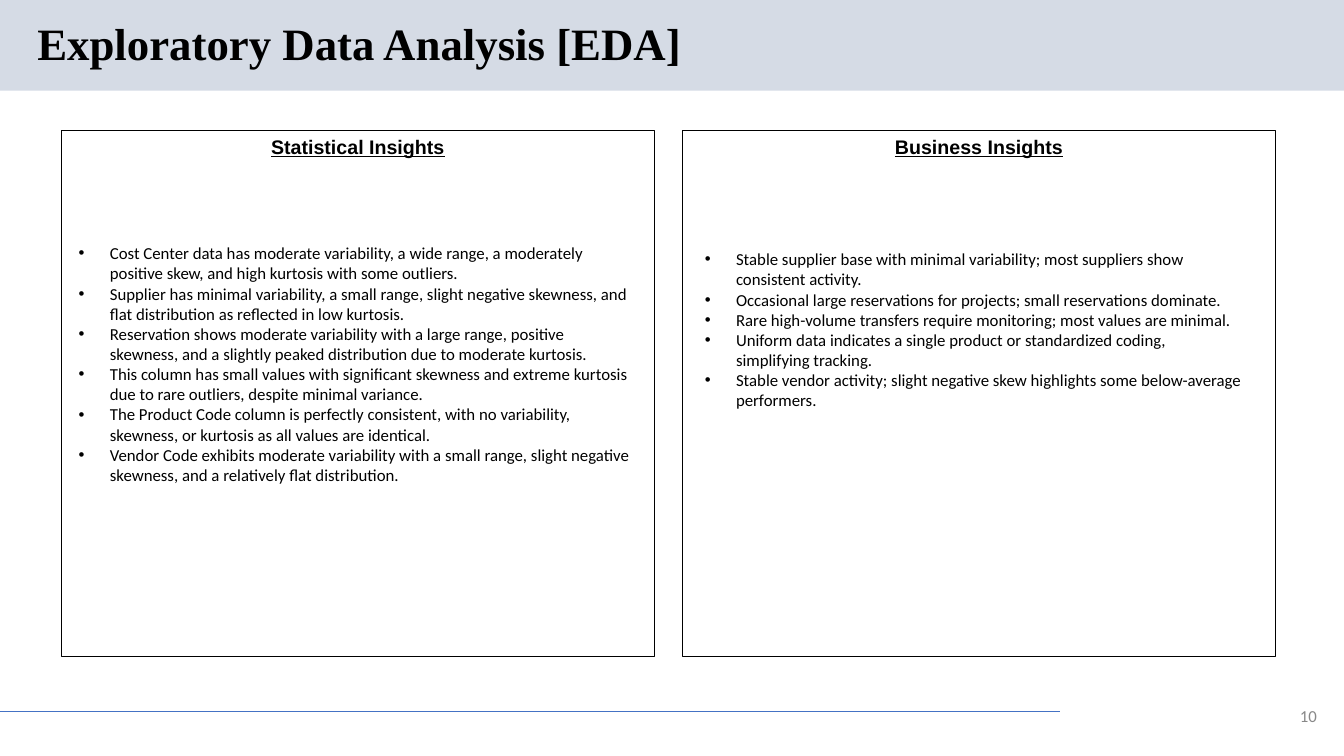
from lxml.etree import SubElement
from pptx import Presentation
from pptx.dml.color import RGBColor
from pptx.enum.shapes import MSO_CONNECTOR, MSO_SHAPE
from pptx.enum.text import MSO_ANCHOR, MSO_AUTO_SIZE, PP_ALIGN
from pptx.oxml.ns import qn
from pptx.util import Inches, Pt

PANEL_TOP, PANEL_WIDTH, PANEL_HEIGHT = 1.29, 5.88, 5.22
PANELS = [
    dict(
        heading="Statistical Insights", left=0.61,
        list_box=(0.68, 1.87, 5.73, 3.01), list_inset=0.52,
        insights=[
            "Cost Center data has moderate variability, a wide range, a moderately positive skew, and high kurtosis with some outliers.",
            "Supplier has minimal variability, a small range, slight negative skewness, and flat distribution as reflected in low kurtosis.",
            "Reservation shows moderate variability with a large range, positive skewness, and a slightly peaked distribution due to moderate kurtosis.",
            "This column has small values with significant skewness and extreme kurtosis due to rare outliers, despite minimal variance.",
            "The Product Code column is perfectly consistent, with no variability, skewness, or kurtosis as all values are identical.",
            "Vendor Code exhibits moderate variability with a small range, slight negative skewness, and a relatively flat distribution.",
        ],
    ),
    dict(
        heading="Business Insights", left=6.77,
        list_box=(6.89, 1.87, 5.54, 2.56), list_inset=0.29,
        insights=[
            "Stable supplier base with minimal variability; most suppliers show consistent activity.",
            "Occasional large reservations for projects; small reservations dominate.",
            "Rare high-volume transfers require monitoring; most values are minimal.",
            "Uniform data indicates a single product or standardized coding, simplifying tracking.",
            "Stable vendor activity; slight negative skew highlights some below-average performers.",
        ],
    ),
]


def color(hex_code):
    return RGBColor.from_string(hex_code)


def add_bullet(paragraph, indent=0.31):
    properties = paragraph._p.get_or_add_pPr()
    properties.set("marL", str(Inches(indent)))
    properties.set("indent", str(-Inches(indent)))
    bullet_color = SubElement(properties, qn("a:buClr"))
    SubElement(bullet_color, qn("a:srgbClr"), val=SlideBuilder.INK)
    SubElement(properties, qn("a:buFont"), typeface="Arial")
    SubElement(properties, qn("a:buChar"), char="•")


def write(frame, lines, font="Calibri", size=12, ink="000000", bold=False,
          underline=False, align=PP_ALIGN.LEFT, anchor=MSO_ANCHOR.MIDDLE,
          spacing=1.0, top_inset=0.05, bullets=False):
    frame.word_wrap = True
    frame.auto_size = MSO_AUTO_SIZE.NONE
    frame.vertical_anchor = anchor
    frame.margin_left = frame.margin_right = Inches(0.1)
    frame.margin_top, frame.margin_bottom = Inches(top_inset), Inches(0.05)
    for number, line in enumerate(lines):
        paragraph = frame.add_paragraph() if number else frame.paragraphs[0]
        paragraph.alignment = align
        paragraph.line_spacing = spacing
        paragraph.space_before = paragraph.space_after = Pt(0)
        if bullets:
            add_bullet(paragraph)
        run = paragraph.add_run()
        run.text = line
        run.font.name, run.font.size = font, Pt(size)
        run.font.bold, run.font.underline = bold, underline
        run.font.color.rgb = color(ink)


class SlideBuilder:
    INK, BAND, RULE, MUTED, PAPER = "000000", "D5DBE5", "4472C4", "888888", "FFFFFF"

    def __init__(self, presentation):
        comparison_layout = presentation.slide_layouts[4]
        self.slide = presentation.slides.add_slide(comparison_layout)
        self.shapes = self.slide.shapes

    def rectangle(self, box, fill=None, line=None):
        """Add a rectangle behind the placeholders."""
        rect = self.shapes.add_shape(MSO_SHAPE.RECTANGLE, *map(Inches, box))
        rect.shadow.inherit = False
        if fill:
            rect.fill.solid()
            rect.fill.fore_color.rgb = color(fill)
        else:
            rect.fill.background()
        if line:
            rect.line.color.rgb = color(line)
            rect.line.width = Pt(0.75)
        else:
            rect.line.fill.background()
        self.shapes._spTree.insert(2, rect._element)

    def rule(self, start, end):
        rule = self.shapes.add_connector(
            MSO_CONNECTOR.STRAIGHT, *map(Inches, start + end))
        rule.line.color.rgb = color(self.RULE)
        rule.line.width = Pt(0.75)
        SubElement(rule._element.spPr, qn("a:effectLst"))

    def placeholder(self, idx, box, lines, **style):
        holder = self.slide.placeholders[idx]
        holder.left, holder.top, holder.width, holder.height = map(Inches, box)
        write(holder.text_frame, lines, **style)
        return holder

    def bullet_list(self, idx, box, lines, top_inset):
        holder = self.placeholder(idx, box, lines, top_inset=top_inset, bullets=True)
        holder.fill.solid()
        holder.fill.fore_color.rgb = color(self.PAPER)
        holder.line.color.rgb = color(self.PAPER)
        holder.line.width = Pt(2)

    def label(self, box, text, **style):
        label = self.shapes.add_textbox(*map(Inches, box))
        write(label.text_frame, [text], **style)


def main():
    presentation = Presentation()
    presentation.slide_width, presentation.slide_height = Inches(13.33), Inches(7.5)
    builder = SlideBuilder(presentation)

    builder.rectangle((0, 0, 13.33, 0.9), fill=builder.BAND)
    builder.rule((0, 7.06), (10.51, 7.06))
    builder.placeholder(0, (0.27, 0.16, 10.11, 0.59), ["Exploratory Data Analysis [EDA]"],
                        font="Times New Roman", size=32, bold=True, spacing=0.9)
    builder.label((12.73, 6.94, 0.43, 0.32), "10",
                  ink=builder.MUTED, align=PP_ALIGN.RIGHT)

    for number, panel in enumerate(PANELS):
        heading_idx = 1 + 2 * number
        builder.rectangle((panel["left"], PANEL_TOP, PANEL_WIDTH, PANEL_HEIGHT),
                          line=builder.INK)
        builder.placeholder(heading_idx, (panel["left"], PANEL_TOP, PANEL_WIDTH, 0.34),
                            [panel["heading"]], font="Arial", size=14, bold=True,
                            underline=True, align=PP_ALIGN.CENTER, anchor=MSO_ANCHOR.TOP)
        builder.bullet_list(heading_idx + 1, panel["list_box"], panel["insights"],
                            panel["list_inset"])

    presentation.save("out.pptx")


if __name__ == "__main__":
    main()
